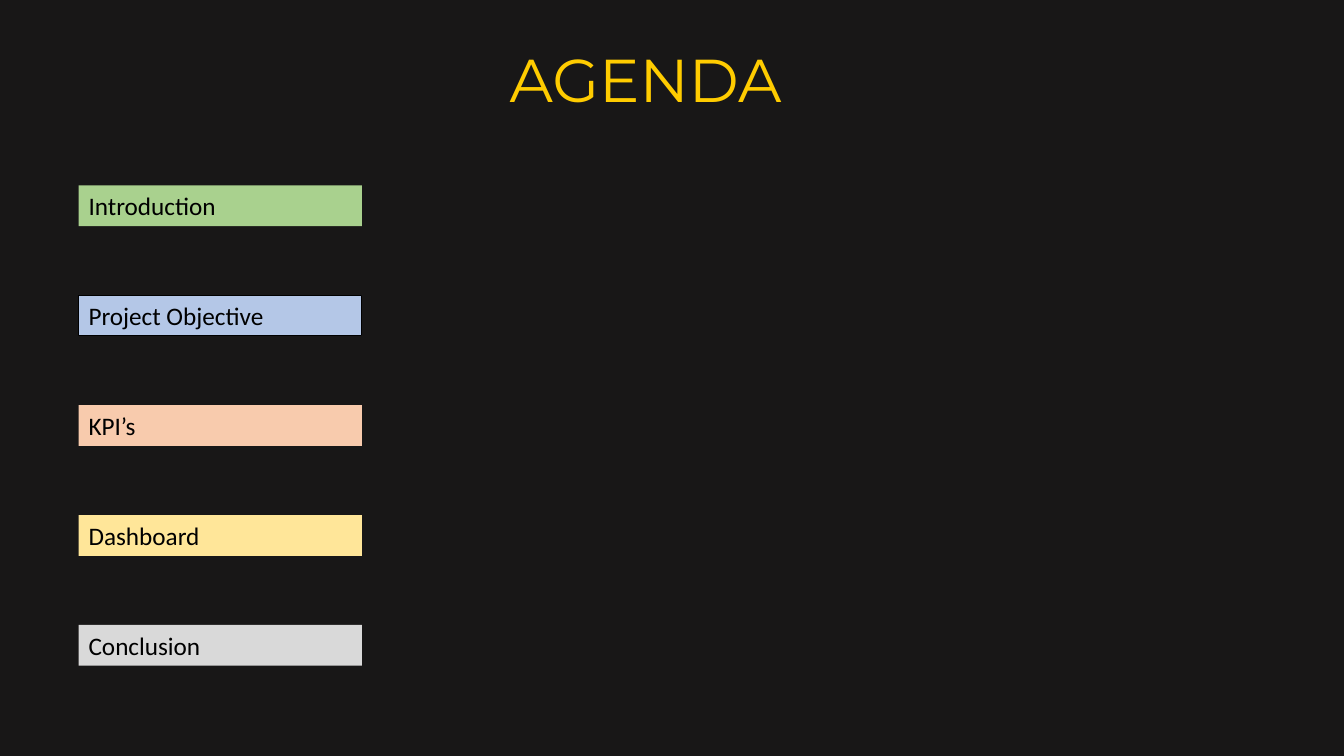
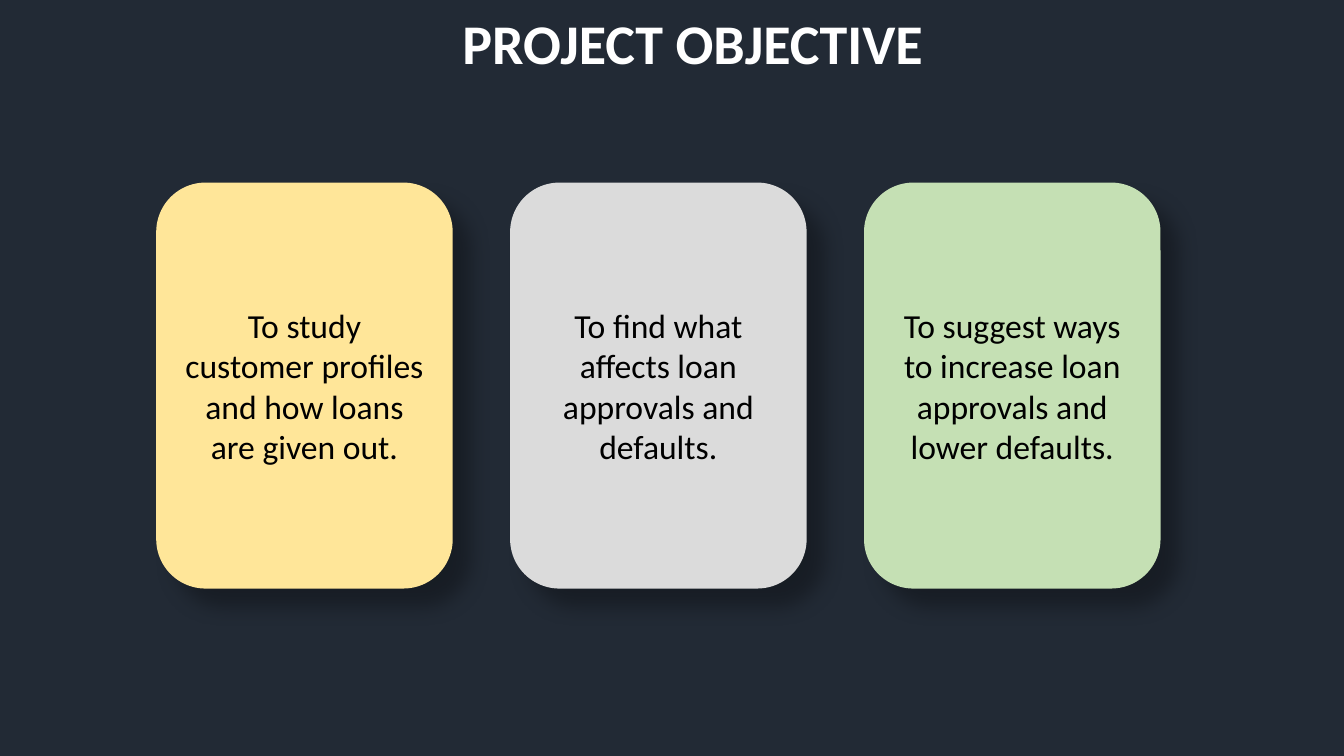
from dataclasses import dataclass

from lxml import etree
from pptx import Presentation
from pptx.dml.color import RGBColor
from pptx.enum.shapes import MSO_SHAPE
from pptx.enum.text import MSO_ANCHOR, PP_ALIGN
from pptx.oxml.ns import qn
from pptx.util import Pt

RECT, ROUND = MSO_SHAPE.RECTANGLE, MSO_SHAPE.ROUNDED_RECTANGLE
MIDDLE, BOTTOM = MSO_ANCHOR.MIDDLE, MSO_ANCHOR.BOTTOM
LEFT, CENTER = PP_ALIGN.LEFT, PP_ALIGN.CENTER


@dataclass(frozen=True)
class Theme:
    body_font: str = "Calibri"
    display_font: str = "Montserrat"
    text: str = "000000"
    white: str = "FFFFFF"
    gold: str = "FFCC00"
    charcoal: str = "181717"
    navy: str = "222A35"
    green: str = "A9D18E"
    pale_green: str = "C5E0B4"
    blue: str = "B4C7E7"
    peach: str = "F8CBAD"
    yellow: str = "FFE699"
    gray: str = "D9D9D9"
    card_gray: str = "DBDBDB"
    agenda_size: float = 18
    card_size: float = 24
    title_size: float = 40
    display_size: float = 43.2


T = Theme()

AGENDA = [
    ("Introduction", T.green, False),
    ("Project Objective", T.blue, True),
    ("KPI’s", T.peach, False),
    ("Dashboard", T.yellow, False),
    ("Conclusion", T.gray, False),
]
OBJECTIVES = [
    ("To study customer profiles and how loans are given out.", T.yellow),
    ("To find what affects loan approvals and defaults.", T.card_gray),
    ("To suggest ways to increase loan approvals and lower defaults.", T.pale_green),
]

AGENDA_LEFT, AGENDA_TOP, AGENDA_STEP = 56.2, 132.4, 78.5
AGENDA_W, AGENDA_H = 202.4, 29.1
CARD_LEFT, CARD_TOP, CARD_GAP = 111.6, 130.4, 41
CARD_W, CARD_H = 211.8, 290


def rgb(value):
    return RGBColor.from_string(value)


def write(shape, text, size, color=T.text, font=T.body_font, bold=False,
          align=LEFT, anchor=MIDDLE):
    tf = shape.text_frame
    tf.word_wrap = True
    tf.vertical_anchor = anchor
    tf.text = text
    p = tf.paragraphs[0]
    p.alignment = align
    f = p.runs[0].font
    f.name, f.size, f.bold = font, Pt(size), bold
    f.color.rgb = rgb(color)
    return p


def add_slide(prs, background, title, box, **style):
    s = prs.slides.add_slide(prs.slide_layouts[6])
    s.background.fill.solid()
    s.background.fill.fore_color.rgb = rgb(background)
    tb = s.shapes.add_textbox(*map(Pt, box))
    write(tb, title, anchor=BOTTOM, **style).line_spacing = 0.9
    return s


def add_panel(s, kind, box, fill, outlined=False):
    sp = s.shapes.add_shape(kind, *map(Pt, box))
    sp.shadow.inherit = False
    sp.fill.solid()
    sp.fill.fore_color.rgb = rgb(fill)
    if outlined:
        sp.line.color.rgb = rgb(T.text)
        sp.line.width = Pt(0.75)
    else:
        sp.line.fill.background()
    return sp


def add_shadow(sp, blur=15, distance=18, angle=45, opacity=30):
    effects = sp._element.spPr.find(qn("a:effectLst"))
    shadow = etree.SubElement(
        effects, qn("a:outerShdw"), blurRad=str(Pt(blur)), dist=str(Pt(distance)),
        dir=str(angle * 60000), algn="tl", rotWithShape="0")
    color = etree.SubElement(shadow, qn("a:srgbClr"), val=T.text)
    etree.SubElement(color, qn("a:alpha"), val=str(opacity * 1000))


def agenda_slide(prs):
    s = add_slide(prs, T.charcoal, "AGENDA", (357, 26, 246, 60),
                  size=T.display_size, color=T.gold, font=T.display_font)
    for i, (label, fill, outlined) in enumerate(AGENDA):
        box = (AGENDA_LEFT, AGENDA_TOP + i * AGENDA_STEP, AGENDA_W, AGENDA_H)
        write(add_panel(s, RECT, box, fill, outlined), label, T.agenda_size)


def objective_slide(prs):
    s = add_slide(prs, T.navy, "PROJECT OBJECTIVE", (323.3, 0, 360, 58.3),
                  size=T.title_size, color=T.white, bold=True)
    for i, (goal, fill) in enumerate(OBJECTIVES):
        box = (CARD_LEFT + i * (CARD_W + CARD_GAP), CARD_TOP, CARD_W, CARD_H)
        card = add_panel(s, ROUND, box, fill)
        add_shadow(card)
        write(card, goal, T.card_size, align=CENTER)


def main():
    prs = Presentation()
    prs.slide_width, prs.slide_height = Pt(960), Pt(540)
    agenda_slide(prs)
    objective_slide(prs)
    prs.save("out.pptx")


if __name__ == "__main__":
    main()
